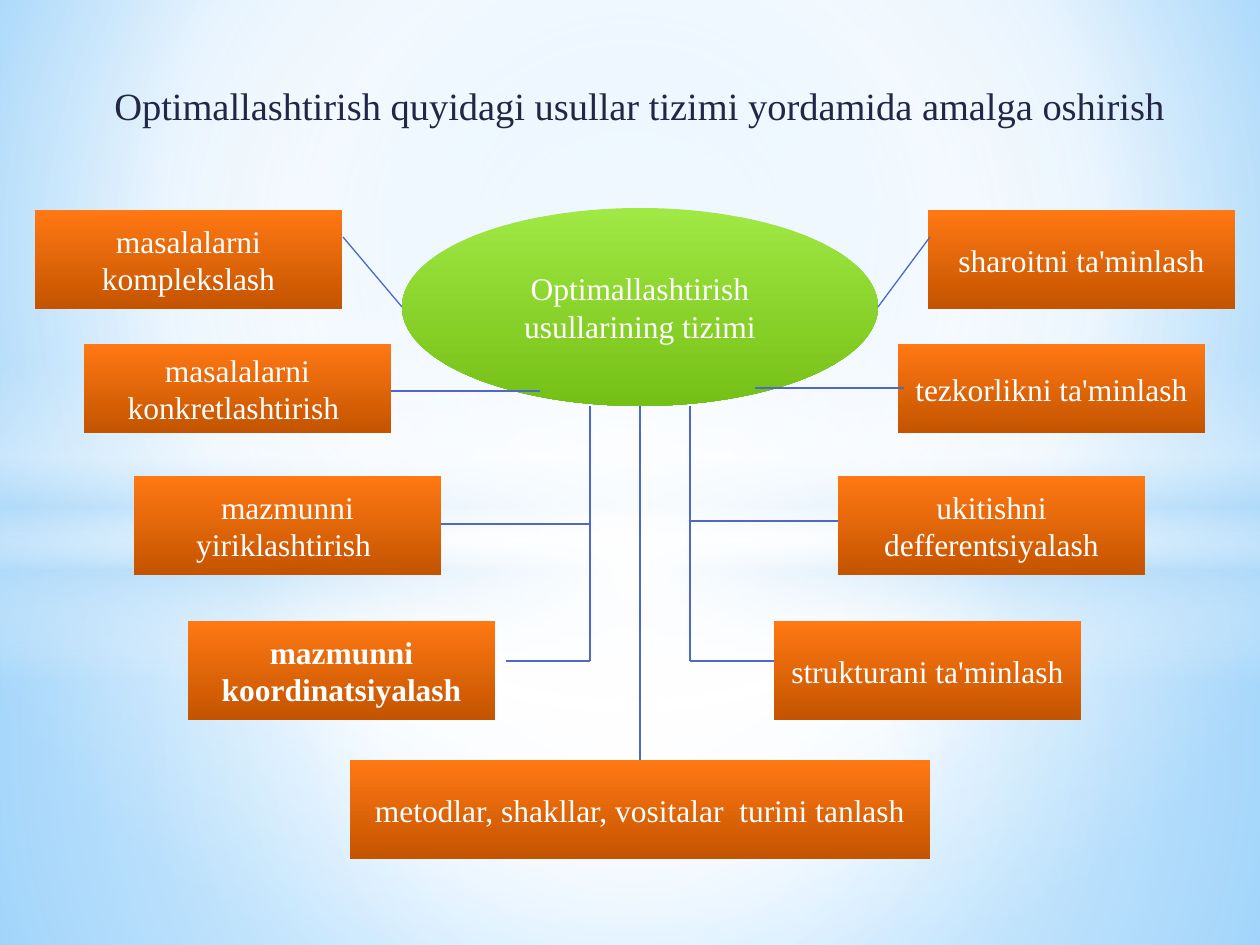
from lxml.etree import SubElement
from pptx import Presentation
from pptx.dml.color import RGBColor
from pptx.enum.shapes import MSO_CONNECTOR as CONNECTOR, MSO_SHAPE as SHAPE
from pptx.enum.text import MSO_ANCHOR as ANCHOR, MSO_AUTO_SIZE as AUTO_SIZE, PP_ALIGN as ALIGN
from pptx.oxml.ns import qn
from pptx.util import Emu, Inches, Pt

PIXEL = Inches(1) / 126
SLIDE_WIDTH, SLIDE_HEIGHT = 1260, 945
FONT = "Times New Roman"
WHITE = RGBColor(0xFF, 0xFF, 0xFF)
NAVY = RGBColor(0x21, 0x27, 0x45)
BLUE = RGBColor(0x4E, 0x67, 0xC8)
SKY = RGBColor(0x9E, 0xD5, 0xFF)
DEEP_SKY = RGBColor(0x5B, 0xB9, 0xFF)
PALE_SKY = RGBColor(0xB4, 0xDC, 0xFA)
ORANGE = [(0, RGBColor(0xFF, 0x78, 0x13), 100), (100, RGBColor(0xC4, 0x54, 0x00), 100)]
GREEN = [(0, RGBColor(0xA0, 0xE8, 0x44), 100), (100, RGBColor(0x75, 0xC0, 0x16), 100)]
CENTRE = (50, 50, 50, 50)


def px(value):
    return Emu(round(value * PIXEL))


def set_gradient(fill, element, stops, focus=None):
    fill.gradient()
    gradient = next(element.iter(qn("a:gradFill")))
    gradient.clear()
    gradient.set("rotWithShape", "1")
    stop_list = SubElement(gradient, qn("a:gsLst"))
    for position, color, opacity in stops:
        stop = SubElement(stop_list, qn("a:gs"), pos=str(position * 1000))
        color_element = SubElement(stop, qn("a:srgbClr"), val=str(color))
        if opacity < 100:
            SubElement(color_element, qn("a:alpha"), val=str(opacity * 1000))
    if focus:
        circle = SubElement(gradient, qn("a:path"), path="circle")
        sides = {side: str(share * 1000) for side, share in zip("ltrb", focus)}
        SubElement(circle, qn("a:fillToRect"), **sides)
    else:
        SubElement(gradient, qn("a:lin"), ang="5400000", scaled="0")


def write_text(shape, text, size=18, color=WHITE, bold=False, anchor=ANCHOR.MIDDLE, before=0, after=0):
    frame = shape.text_frame
    frame.word_wrap = True
    frame.auto_size = AUTO_SIZE.NONE
    frame.vertical_anchor = anchor
    paragraph = frame.paragraphs[0]
    paragraph.alignment = ALIGN.CENTER
    paragraph.space_before, paragraph.space_after = Pt(before), Pt(after)
    run = paragraph.add_run()
    run.text = text
    run.font.name, run.font.size = FONT, Pt(size)
    run.font.bold, run.font.color.rgb = bold, color


def add_gradient_shape(slide, kind, box, stops, focus=None):
    shape = slide.shapes.add_shape(kind, *map(px, box))
    shape.shadow.inherit = False
    shape.line.fill.background()
    set_gradient(shape.fill, shape.element, stops, focus)
    return shape


def add_line(slide, start, end):
    line = slide.shapes.add_connector(CONNECTOR.STRAIGHT, *map(px, start + end))
    line.line.color.rgb, line.line.width = BLUE, Pt(0.75)
    SubElement(line.element.spPr, qn("a:effectLst"))


def add_backdrop(slide, box):
    left, top, width, height = box
    set_gradient(slide.background.fill, slide.element,
                 [(0, SKY, 100), (60, WHITE, 100), (100, DEEP_SKY, 100)], (20, 10, 20, 60))
    horizon = 533
    layers = [
        (SHAPE.RECTANGLE, horizon, height - horizon,
         [(0, WHITE, 91), (37, WHITE, 76), (100, PALE_SKY, 79)], CENTRE),
        (SHAPE.RECTANGLE, 0, horizon,
         [(0, WHITE, 89), (48, WHITE, 62), (100, PALE_SKY, 79)], CENTRE),
        (SHAPE.RECTANGLE, 365, 315,
         [(0, WHITE, 0), (29, WHITE, 30), (45, PALE_SKY, 40), (55, WHITE, 26),
          (65, PALE_SKY, 60), (100, WHITE, 0)], None),
        (SHAPE.OVAL, 220, 703, [(0, WHITE, 100), (54, WHITE, 0)], CENTRE),
    ]
    for kind, offset, depth, stops, focus in layers:
        add_gradient_shape(slide, kind, (left, top + offset, width, depth), stops, focus)


def add_title(slide, box, text):
    title = slide.shapes.title
    title.left, title.top, title.width, title.height = map(px, box)
    write_text(title, text, size=22, color=NAVY, anchor=ANCHOR.TOP, before=4.4, after=3)
    slide.shapes.element.append(title.element)


def add_methods(slide, box):
    left, top, width, height = box
    oval_left, oval_width, oval_height = left + 367, 476, 198
    oval = add_gradient_shape(slide, SHAPE.OVAL, (oval_left, top, oval_width, oval_height), GREEN)
    write_text(oval, "Оptimаllаshtirish usullаrining tizimi")

    box_width, box_height = 307, 99
    rows = [
        (2, box_height, (0, "mаsаlаlаrni kоmplеkslаsh"), (893, "shаrоitni tа'minlаsh")),
        (136, 89, (49, "mаsаlаlаrni kоnkrеtlаshtirish "), (863, "tеzkоrlikni tа'minlаsh")),
        (268, box_height, (99, "mаzmunni yiriklаshtirish "), (803, "ukitishni dеffеrеntsiyаlаsh")),
        (413, box_height, (153, "mаzmunni kооrdinаtsiyаlаsh"), (739, "strukturаni tа'minlаsh")),
    ]
    for offset, depth, *pair in rows:
        for x, text in pair:
            method = add_gradient_shape(slide, SHAPE.RECTANGLE, (left + x, top + offset, box_width, depth), ORANGE)
            write_text(method, text, bold=text.endswith("kооrdinаtsiyаlаsh"))
    base_top = top + height - box_height
    base = add_gradient_shape(slide, SHAPE.RECTANGLE, (left + 315, base_top, 580, box_height), ORANGE)
    write_text(base, "mеtоdlаr, shаkllаr, vоsitаlаr  turini tаnlаsh")

    middle = oval_left + oval_width // 2
    oval_bottom = top + oval_height
    add_line(slide, (middle, oval_bottom), (middle, base_top))
    sides = [
        (-1, 297, [(183, 317, 149), (316, 199, 50), (453, 134, 50)]),
        (1, 290, [(180, 264, 115), (313, 198, 50), (453, 134, 50)]),
    ]
    for side, corner, branches in sides:
        add_line(slide, (middle + side * oval_width // 2, top + 99), (middle + side * corner, top + 29))
        add_line(slide, (middle + side * 50, oval_bottom), (middle + side * 50, top + 453))
        for offset, outer, inner in branches:
            if inner == 149:
                outer, inner = 249, 100
            add_line(slide, (middle + side * inner, top + offset), (middle + side * outer, top + offset))


presentation = Presentation()
presentation.slide_width, presentation.slide_height = px(SLIDE_WIDTH), px(SLIDE_HEIGHT)
slide = presentation.slides.add_slide(presentation.slide_layouts[5])
add_backdrop(slide, (0, 0, SLIDE_WIDTH, SLIDE_HEIGHT))
add_title(slide, (84, 76, 1111, 774), "Оptimаllаshtirish quyidаgi usullаr tizimi yordаmidа аmаlgа оshirish")
add_methods(slide, (35, 208, 1200, 651))
presentation.save("out.pptx")
